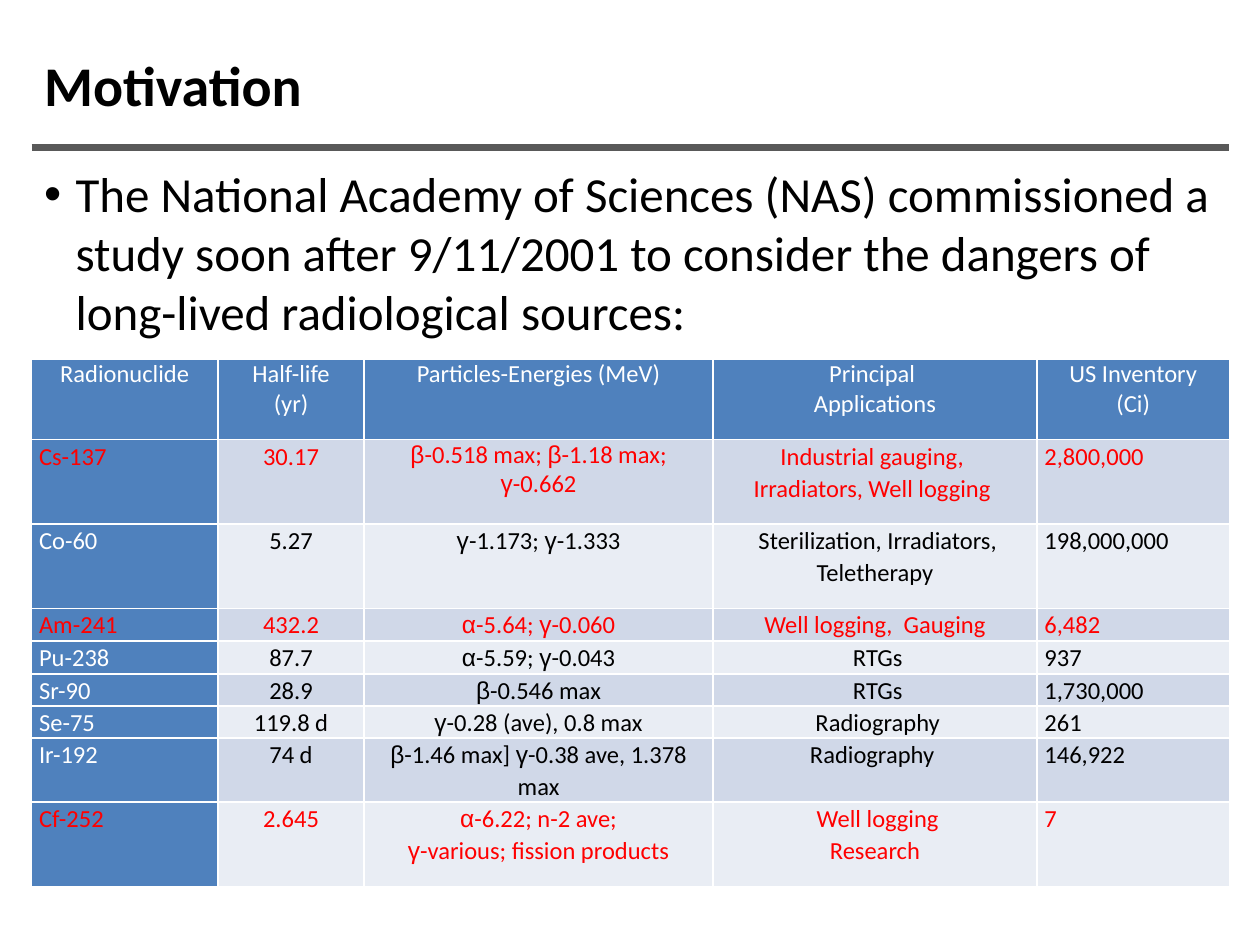
from itertools import groupby

from lxml import etree
from pptx import Presentation
from pptx.dml.color import RGBColor
from pptx.enum.text import MSO_ANCHOR, MSO_AUTO_SIZE, PP_ALIGN
from pptx.oxml.ns import qn
from pptx.util import Inches, Pt

LEFT, CENTER = PP_ALIGN.LEFT, PP_ALIGN.CENTER
TOP, MIDDLE = MSO_ANCHOR.TOP, MSO_ANCHOR.MIDDLE
NO_FIT = MSO_AUTO_SIZE.NONE

THEME = {
    "font": "Calibri", "greek_font": "Arial",
    "title": 32, "body": 28, "table": 14,
    "black": "000000", "white": "FFFFFF", "red": "FF0000",
    "rule": "595959", "blue": "4F81BD", "bands": ("D0D8E8", "E9EDF4"),
}

TITLE = "Motivation"
BULLET = ("The National Academy of Sciences (NAS) commissioned a study soon after "
          "9/11/2001 to consider the dangers of long-lived radiological sources:")

# Within a cell, "\v" breaks a line and "\n" starts a paragraph.
HEADER = ("Radionuclide", "Half-life\v(yr)", "Particles-Energies (MeV)",
          "Principal \vApplications", "US Inventory\v(Ci)")
SOURCES = [
    ("Cs-137", "30.17", "β-0.518 max; β-1.18 max; γ-0.662",
     "Industrial gauging, \nIrradiators, Well logging ", "2,800,000"),
    ("Co-60", "5.27", "γ-1.173; γ-1.333",
     " Sterilization, Irradiators, Teletherapy", "198,000,000"),
    ("Am-241", "432.2", "α-5.64; γ-0.060", "Well logging,  Gauging", "6,482"),
    ("Pu-238", "87.7", "α-5.59; γ-0.043", " RTGs", "937"),
    ("Sr-90", "28.9", "β-0.546 max", " RTGs", "1,730,000"),
    ("Se-75", "119.8 d", "γ-0.28 (ave), 0.8 max", " Radiography", "261"),
    ("Ir-192", "74 d", "β-1.46 max] γ-0.38 ave, 1.378 max", "Radiography ", "146,922"),
    ("Cf-252", "2.645", "α-6.22; n-2 ave;\nγ-various; fission products",
     " Well logging\nResearch", "7"),
]
HIGHLIGHTED = {"Cs-137", "Am-241", "Cf-252"}
SINGLE_SPACED = {(1, 2)}
COL_ALIGN = (LEFT, CENTER, CENTER, CENTER, LEFT)
COL_WIDTHS = (1.48, 1.16, 2.77, 2.57, 1.53)
ROW_HEIGHTS = (0.64, 0.67, 0.67, 0.26, 0.26, 0.25, 0.25, 0.51, 0.67)

MARGIN, WIDTH = 0.25, 9.5


def is_greek(char):
    return "α" <= char <= "ω"


def add_runs(p, text, size, color, bold=False):
    """Add text to a paragraph, with Greek letters in their own font."""
    for i, line in enumerate(text.split("\v")):
        if i:
            p.add_line_break()
        for greek, chars in groupby(line, is_greek):
            r = p.add_run()
            r.text = "".join(chars)
            r.font.name = THEME["greek_font" if greek else "font"]
            r.font.size = Pt(size)
            r.font.bold = bold
            r.font.color.rgb = RGBColor.from_string(color)


def place(sp, top, height, anchor):
    sp.left, sp.top = Inches(MARGIN), Inches(top)
    sp.width, sp.height = Inches(WIDTH), Inches(height)
    tf = sp.text_frame
    tf.word_wrap = True
    tf.auto_size = NO_FIT
    tf.vertical_anchor = anchor
    return tf.paragraphs[0]


def add_title(s):
    p = place(s.shapes.title, 0.25, 0.83, MIDDLE)
    p.alignment = LEFT
    add_runs(p, TITLE, THEME["title"], THEME["black"], bold=True)


def add_rule(s):
    y = Inches(1.17)
    line = s.shapes.add_connector(1, Inches(MARGIN), y, Inches(MARGIN + WIDTH), y)
    line.line.color.rgb = RGBColor.from_string(THEME["rule"])
    line.line.width = Pt(4)
    etree.SubElement(line._element.spPr, qn("a:effectLst"))


def add_bullet(s):
    p = place(s.placeholders[1], 1.25, 6, TOP)
    pPr = p._p.get_or_add_pPr()
    pPr.set("marL", str(Inches(0.25)))
    pPr.set("indent", str(Inches(-0.25)))
    etree.SubElement(pPr, qn("a:buFont"), typeface="Arial")
    etree.SubElement(pPr, qn("a:buChar"), char="•")
    p.space_before = Pt(0)
    add_runs(p, BULLET, THEME["body"], THEME["black"])


def fill_cell(cell, text, fill, color, align, spacing):
    cell.margin_left = cell.margin_right = Inches(0.06)
    cell.margin_top = cell.margin_bottom = 0
    cell.fill.solid()
    cell.fill.fore_color.rgb = RGBColor.from_string(fill)
    tf = cell.text_frame
    for i, line in enumerate(text.split("\n")):
        p = tf.add_paragraph() if i else tf.paragraphs[0]
        p.alignment = align
        p.line_spacing = spacing
        add_runs(p, line, THEME["table"], color)


def add_source_table(s):
    rows = [HEADER] + SOURCES
    table = s.shapes.add_table(
        len(rows), len(HEADER), Inches(MARGIN), Inches(2.85),
        Inches(sum(COL_WIDTHS)), Inches(sum(ROW_HEIGHTS))).table
    for column, width in zip(table.columns, COL_WIDTHS):
        column.width = Inches(width)
    for row, height in zip(table.rows, ROW_HEIGHTS):
        row.height = Inches(height)

    for r, row in enumerate(rows):
        for c, text in enumerate(row):
            heading = r == 0 or c == 0
            fill = THEME["blue"] if heading else THEME["bands"][(r - 1) % 2]
            color = THEME["white" if heading else "black"]
            if row[0] in HIGHLIGHTED:
                color = THEME["red"]
            align = CENTER if r == 0 else COL_ALIGN[c]
            spacing = 1.0 if r == 0 or (r, c) in SINGLE_SPACED else 1.07
            fill_cell(table.cell(r, c), text, fill, color, align, spacing)


def main():
    prs = Presentation()
    prs.slide_width, prs.slide_height = Inches(10), Inches(7.5)
    s = prs.slides.add_slide(prs.slide_layouts[1])
    add_rule(s)
    add_title(s)
    add_bullet(s)
    add_source_table(s)
    prs.save("out.pptx")


if __name__ == "__main__":
    main()
